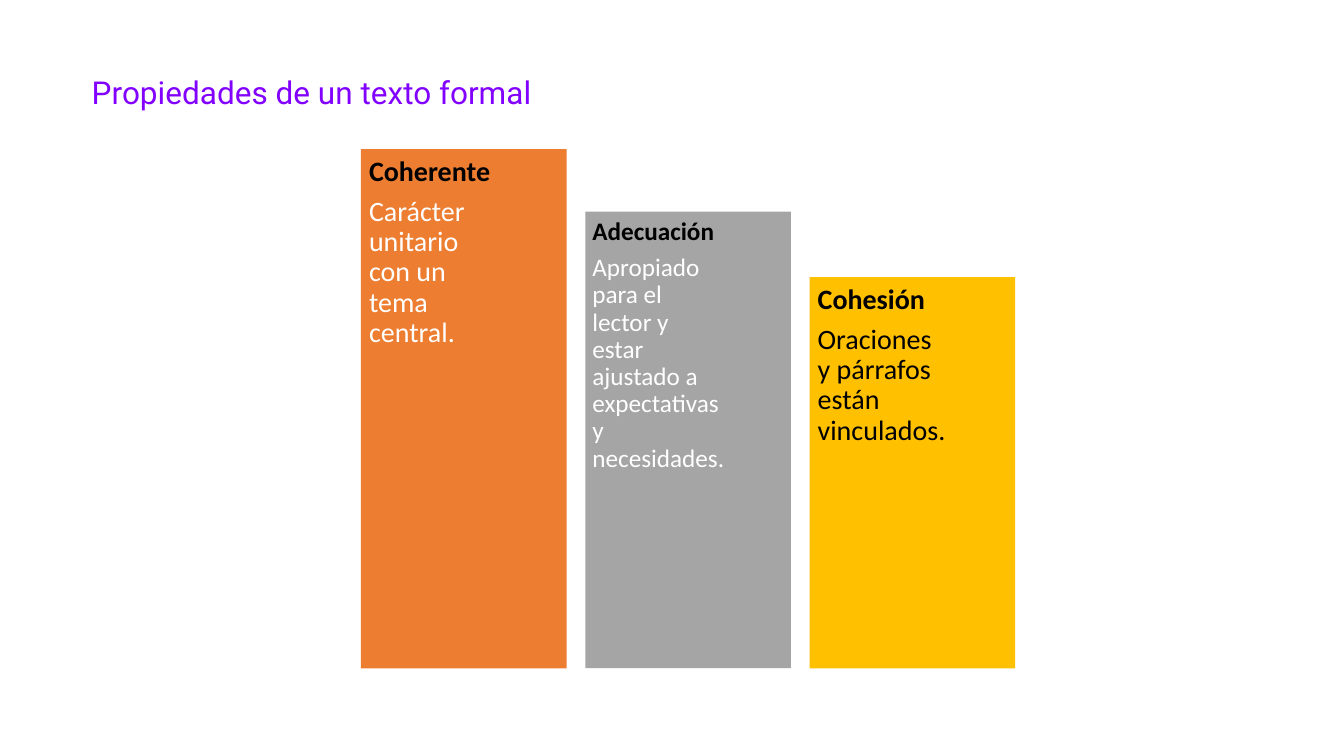
import pptx
import pptx.util
import pptx.dml.color
import pptx.enum.shapes
import pptx.enum.text

Inches = pptx.util.Inches
Pt = pptx.util.Pt

TITLE = "Propiedades de un texto formal"
PROPERTIES = [
    {"name": "Coherente", "detail": "Carácter unitario con un tema central.",
     "top": 1.48, "fill": "coherence", "ink": "light", "size": "large", "inset": 0.08},
    {"name": "Adecuación",
     "detail": "Apropiado para el lector y estar ajustado a expectativas y necesidades.",
     "top": 2.1, "fill": "adequacy", "ink": "light", "size": "small", "inset": 0.07},
    {"name": "Cohesión", "detail": "Oraciones y párrafos están vinculados.",
     "top": 2.75, "fill": "cohesion", "ink": "dark", "size": "large", "inset": 0.08},
]
THEME = {
    "colors": {"title": "8200FF", "coherence": "ED7D31", "adequacy": "A5A5A5",
               "cohesion": "FFC000", "light": "FFFFFF", "dark": "000000"},
    "sizes": {"title": 22.5, "large": 20, "small": 18},
    "fonts": {"title": "Roboto", "body": "Calibri"},
}
FIRST_LEFT, PITCH, BAR_WIDTH, BAR_BOTTOM = 3.58, 2.225, 2.04, 6.63
LABEL_WIDTH, LABEL_OVERHANG = 1.45, 0.02


def color(role):
    return pptx.dml.color.RGBColor.from_string(THEME["colors"][role])


def write(paragraph, text, *, size, ink, font="body", bold=False, after=0):
    points = THEME["sizes"][size]
    paragraph.alignment = pptx.enum.text.PP_ALIGN.LEFT
    paragraph.line_spacing = 0.9
    paragraph.space_after = Pt(points * after)
    run = paragraph.add_run()
    run.text = text
    run.font.size = Pt(points)
    run.font.name = THEME["fonts"][font]
    run.font.bold = bold
    run.font.color.rgb = color(ink)


def add_bar(slide, left, prop):
    bar = slide.shapes.add_shape(
        pptx.enum.shapes.MSO_SHAPE.RECTANGLE, Inches(left), Inches(prop["top"]),
        Inches(BAR_WIDTH), Inches(BAR_BOTTOM - prop["top"]))
    bar.shadow.inherit = False
    bar.fill.solid()
    bar.fill.fore_color.rgb = color(prop["fill"])
    bar.line.fill.background()


def add_label(slide, left, prop):
    label = slide.shapes.add_textbox(
        Inches(left), Inches(prop["top"]), Inches(LABEL_WIDTH),
        Inches(BAR_BOTTOM + LABEL_OVERHANG - prop["top"])).text_frame
    label.word_wrap = True
    label.vertical_anchor = pptx.enum.text.MSO_ANCHOR.TOP
    label.margin_left = label.margin_right = Inches(prop["inset"])
    label.margin_top = label.margin_bottom = Inches(prop["inset"])
    write(label.paragraphs[0], prop["name"], size=prop["size"], ink="dark",
          bold=True, after=0.35)
    write(label.add_paragraph(), prop["detail"], size=prop["size"],
          ink=prop["ink"], after=0.35)


def main():
    deck = pptx.Presentation()
    deck.slide_width, deck.slide_height = Inches(13.33), Inches(7.5)
    slide = deck.slides.add_slide(deck.slide_layouts[5])

    heading = slide.shapes.title
    heading.left, heading.top = Inches(0.81), Inches(0.73)
    heading.width, heading.height = Inches(11.73), Inches(0.42)
    heading.text_frame.vertical_anchor = pptx.enum.text.MSO_ANCHOR.MIDDLE
    write(heading.text_frame.paragraphs[0], TITLE, size="title", ink="title", font="title")

    columns = [(FIRST_LEFT + i * PITCH, prop) for i, prop in enumerate(PROPERTIES)]
    for left, prop in reversed(columns):
        add_bar(slide, left, prop)
    for left, prop in columns:
        add_label(slide, left, prop)

    deck.save("out.pptx")


if __name__ == "__main__":
    main()
